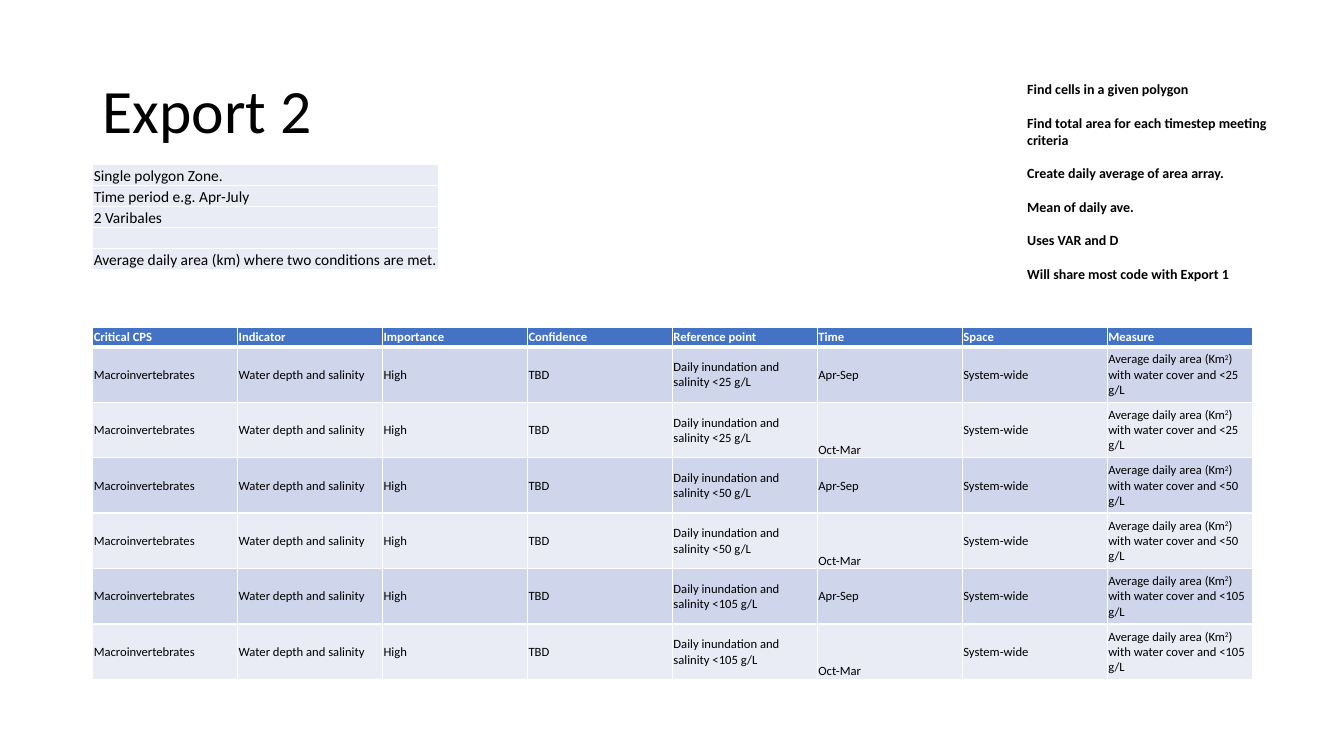
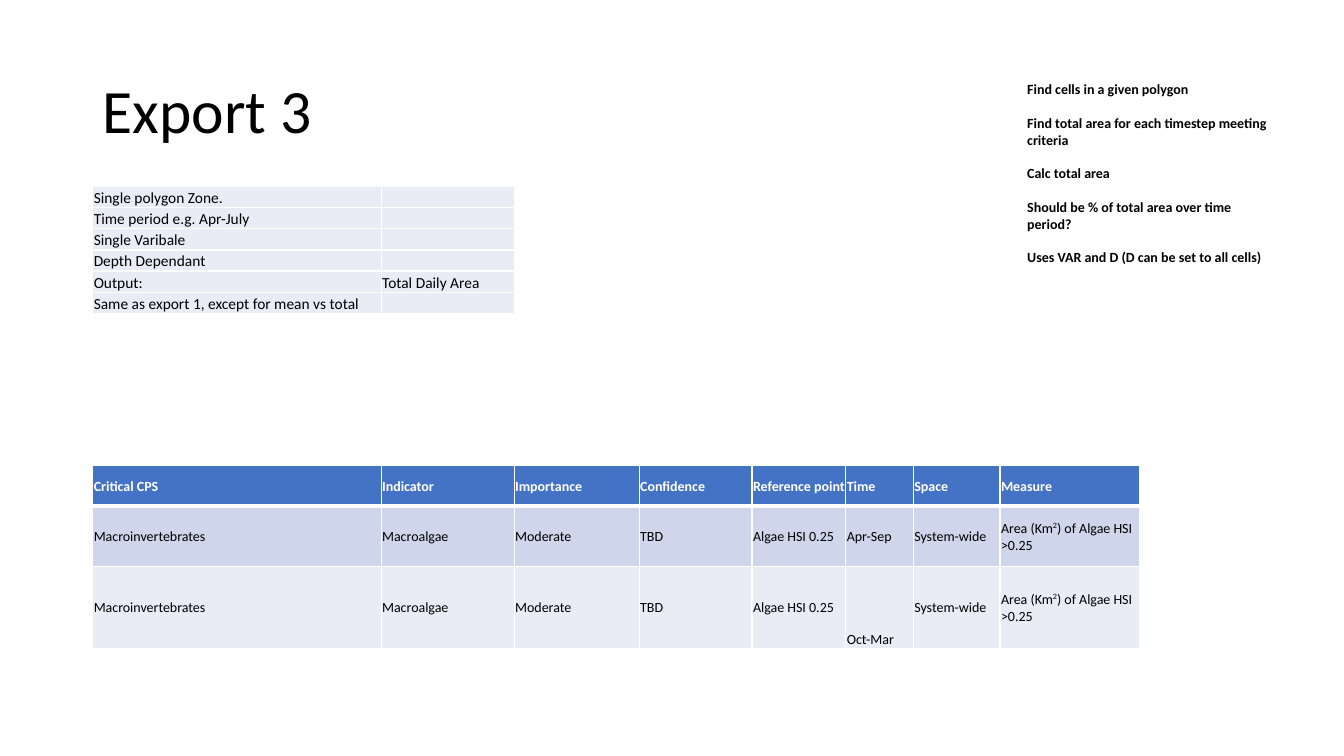
from lxml import etree
from pptx import Presentation
from pptx.dml.color import RGBColor
from pptx.enum.text import MSO_ANCHOR, MSO_AUTO_SIZE, PP_ALIGN
from pptx.oxml.ns import qn
from pptx.util import Inches, Pt

MIDDLE, BOTTOM = MSO_ANCHOR.MIDDLE, MSO_ANCHOR.BOTTOM
LEFT_ALIGN = PP_ALIGN.LEFT
GROW = MSO_AUTO_SIZE.SHAPE_TO_FIT_TEXT

COLORS = {"text": "000000", "white": "FFFFFF", "header": "4472C4",
          "band": "CFD5EA", "pale": "E9EBF5"}
FONT = "Calibri"
TITLE_ONLY = 5
LEFT = 0.92
TITLE_BOX = (LEFT, 0.4, 11.5, 1.45)
STEPS_BOX = (10.09, 0.75, 2.67, 2.12)
SUMMARY_ROW = 0.21
THIN, THICK = 1, 3
HEADINGS = ["Critical CPS", "Indicator", "Importance", "Confidence",
            "Reference point", "Time", "Space", "Measure"]
SEASONS = ["Apr-Sep", "Oct-Mar"]


def inches(*lengths):
    """Turn numbers into lengths in inches."""
    return [Inches(length) for length in lengths]


def write(frame, lines, size, color="text", bold=False, line_spacing=None, gap=0):
    """Write one paragraph per line; text between carets is superscript."""
    for index, line in enumerate(lines):
        paragraph = frame.add_paragraph() if index else frame.paragraphs[0]
        paragraph.alignment = LEFT_ALIGN
        if line_spacing:
            paragraph.line_spacing = line_spacing
        if gap and index:
            paragraph.space_before = Pt(gap)
        if not line:
            etree.SubElement(paragraph._p, qn("a:endParaRPr"), sz=str(size * 100))
            continue
        for position, part in enumerate(line.split("^")):
            run = paragraph.add_run()
            run.text = part
            run.font.name = FONT
            run.font.size = Pt(size)
            run.font.bold = bold
            run.font.color.rgb = RGBColor.from_string(COLORS[color])
            if position % 2:
                run._r.get_or_add_rPr().set("baseline", "30000")


def add_borders(cell, top, bottom):
    """Draw white borders around a cell, with given top and bottom widths."""
    sides = {"lnL": THIN, "lnR": THIN, "lnT": top, "lnB": bottom}
    for side, width in sides.items():
        line = etree.SubElement(cell._tc.get_or_add_tcPr(), qn("a:" + side),
                                w=str(Pt(width)))
        fill = etree.SubElement(line, qn("a:solidFill"))
        etree.SubElement(fill, qn("a:srgbClr"), val=COLORS["white"])


def fill_cell(cell, text, size, fill, anchor, top=THIN, bottom=THIN, **style):
    """Give a cell its text, borders, fill and tight margins."""
    cell.margin_left = cell.margin_right = cell.margin_top = Inches(0.01)
    cell.margin_bottom = 0
    cell.vertical_anchor = anchor
    add_borders(cell, top, bottom)
    cell.fill.solid()
    cell.fill.fore_color.rgb = RGBColor.from_string(COLORS[fill])
    write(cell.text_frame, [text], size, **style)


def add_grid(slide, left, top, columns, heights):
    """Add an empty table with the given column widths and row heights."""
    grid = slide.shapes.add_table(
        len(heights), len(columns),
        *inches(left, top, sum(columns), sum(heights))).table
    grid.horz_banding = False
    for column, width in zip(grid.columns, columns):
        column.width = Inches(width)
    for row, height in zip(grid.rows, heights):
        row.height = Inches(height)
    return grid


def add_title(slide, box, text):
    """Place and format the slide title."""
    title = slide.shapes.title
    title.left, title.top, title.width, title.height = inches(*box)
    title.text_frame.vertical_anchor = MIDDLE
    write(title.text_frame, [text], 44, line_spacing=0.9)


def add_indicators(slide, left, top, columns, heights, records, size):
    """Add the banded table of indicators under its header row."""
    grid = add_grid(slide, left, top, columns, heights)
    for column, heading in enumerate(HEADINGS):
        fill_cell(grid.cell(0, column), heading, size, "header", MIDDLE,
                  bottom=THICK, color="white", bold=True)
    for row, record in enumerate(records, 1):
        fill = "band" if row % 2 else "pale"
        for column, text in enumerate(record):
            anchor = BOTTOM if text == "Oct-Mar" else MIDDLE
            fill_cell(grid.cell(row, column), text, size, fill, anchor,
                      top=THICK if row == 1 else THIN)


def add_summary(slide, left, top, columns, rows):
    """Add the small table that describes the export."""
    grid = add_grid(slide, left, top, columns, [SUMMARY_ROW] * len(rows))
    for row, texts in enumerate(rows):
        for column, text in enumerate(texts):
            fill_cell(grid.cell(row, column), text, 11, "pale", BOTTOM)


def add_steps(slide, box, steps):
    """Add the bold processing steps, one blank line apart."""
    frame = slide.shapes.add_textbox(*inches(*box)).text_frame
    frame.word_wrap = True
    frame.auto_size = GROW
    write(frame, steps, 10, bold=True, gap=12)


def add_export_slide(deck, title, indicators, summary, steps):
    """Build one export slide from its four parts."""
    slide = deck.slides.add_slide(deck.slide_layouts[TITLE_ONLY])
    add_title(slide, TITLE_BOX, title)
    add_indicators(slide, LEFT, **indicators)
    add_summary(slide, LEFT, **summary)
    add_steps(slide, STEPS_BOX, steps)


def main():
    """Build both export slides and save the deck."""
    deck = Presentation()
    deck.slide_width, deck.slide_height = inches(13.33, 7.5)

    salinity_records = [
        ["Macroinvertebrates", "Water depth and salinity", "High", "TBD",
         f"Daily inundation and salinity <{limit} g/L", season, "System-wide",
         f"Average daily area (Km^2^) with water cover and <{limit} g/L"]
        for limit in (25, 50, 105) for season in SEASONS]
    add_export_slide(
        deck, "Export 2",
        indicators={"top": 3.25, "columns": [11.5 / 8] * 8,
                    "heights": [0.19] + [0.55] * 6,
                    "records": salinity_records, "size": 9},
        summary={"top": 1.63, "columns": [3.43], "rows": [
            ["Single polygon Zone."], ["Time period e.g. Apr-July"],
            ["2 Varibales"], [""],
            ["Average daily area (km) where two conditions are met."]]},
        steps=["Find cells in a given polygon",
               "Find total area for each timestep meeting criteria",
               "Create daily average of area array.", "Mean of daily ave.",
               "Uses VAR and D", "Will share most code with Export 1"])

    algae_records = [
        ["Macroinvertebrates", "Macroalgae", "Moderate", "TBD",
         "Algae HSI 0.25", season, "System-wide",
         "Area (Km^2^) of Algae HSI >0.25"] for season in SEASONS]
    algae_columns = [2.86, 1.32, 1.24, 1.12, 0.93, 0.67, 0.86, 1.38]
    add_export_slide(
        deck, "Export 3",
        indicators={"top": 4.62, "columns": algae_columns,
                    "heights": [0.4, 0.6, 0.81],
                    "records": algae_records, "size": 10},
        summary={"top": 1.85, "columns": algae_columns[:2], "rows": [
            ["Single polygon Zone.", ""], ["Time period e.g. Apr-July", ""],
            ["Single Varibale", ""], ["Depth Dependant", ""],
            ["Output:", "Total Daily Area"],
            ["Same as export 1, except for mean vs total", ""]]},
        steps=["Find cells in a given polygon",
               "Find total area for each timestep meeting criteria",
               "Calc total area", "Should be % of total area over time period?",
               "Uses VAR and D (D can be set to all cells)"])

    deck.save("out.pptx")


main()
